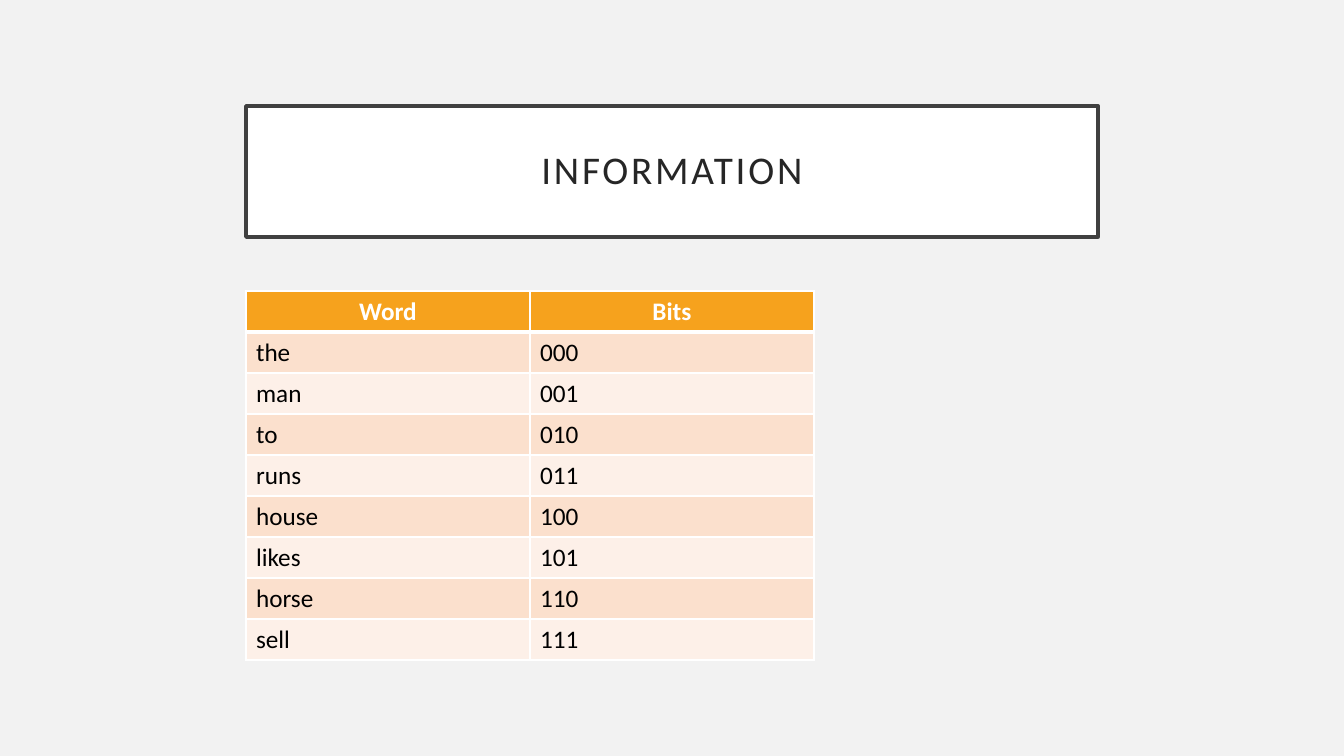
from lxml import etree
from pptx import Presentation
from pptx import util as u
from pptx.dml.color import RGBColor
from pptx.enum import text
from pptx.oxml.ns import qn

# Content
TITLE = "INFORMATION"
HEAD = ("Word", "Bits")
WORDS = ["the", "man", "to", "runs", "house", "likes", "horse", "sell"]
ROWS = [HEAD] + [(word, f"{i:03b}") for i, word in enumerate(WORDS)]

# Look
FONT = "Calibri"
WHITE = "FFFFFF"
ORANGE = "F6A21D"
BANDS = ("FDF0E8", "FBE0CD")

# Layout in px
WIDE, HIGH = 1344, 756
LEFT = 246
TITLE_TOP, TITLE_W, TITLE_H = 106, 852, 131
TABLE_TOP, COL_W, ROW_H = 291, 284, 41
INSET = 20


def px(n):
    return u.Emu(round(n * 914400 / 100.8))


def color(code):
    return RGBColor.from_string(code)


def paint(fill, code):
    fill.solid()
    fill.fore_color.rgb = color(code)


def style(para, size, code, bold=False):
    for run in para.runs:
        font = run.font
        font.name, font.size, font.bold = FONT, u.Pt(size), bold
        font.color.rgb = color(code)


def border(cell, top, bottom):
    props = cell._tc.get_or_add_tcPr()
    sides = (("L", 1), ("R", 1), ("T", top), ("B", bottom))
    for i, (side, width) in enumerate(sides):
        line = etree.Element(qn("a:ln" + side), w=str(u.Pt(width)))
        fill = etree.SubElement(line, qn("a:solidFill"))
        etree.SubElement(fill, qn("a:srgbClr"), val=WHITE)
        props.insert(i, line)


deck = Presentation()
deck.slide_width, deck.slide_height = px(WIDE), px(HIGH)
slide = deck.slides.add_slide(deck.slide_layouts[5])
paint(slide.background.fill, "F2F2F2")

# Title box
title = slide.shapes.title
title.left, title.top = px(LEFT), px(TITLE_TOP)
title.width, title.height = px(TITLE_W), px(TITLE_H)
paint(title.fill, WHITE)
title.line.color.rgb = color("404040")
title.line.width = u.Pt(2.5)
frame = title.text_frame
frame.text = TITLE
frame.word_wrap = True
frame.auto_size = text.MSO_AUTO_SIZE.NONE
frame.vertical_anchor = text.MSO_ANCHOR.MIDDLE
frame.margin_left = frame.margin_right = px(INSET)
frame.margin_top = frame.margin_bottom = px(INSET)
para = frame.paragraphs[0]
para.alignment = text.PP_ALIGN.CENTER
para.line_spacing = 0.9
style(para, 28, "262626")
para.runs[0].font._element.set("spc", "200")

# Code table
table = slide.shapes.add_table(
    len(ROWS), len(HEAD), px(LEFT), px(TABLE_TOP),
    px(COL_W * len(HEAD)), px(ROW_H * len(ROWS))).table
for col in table.columns:
    col.width = px(COL_W)
for r, row in enumerate(ROWS):
    table.rows[r].height = px(ROW_H)
    for c, value in enumerate(row):
        cell = table.cell(r, c)
        cell.text = value
        para = cell.text_frame.paragraphs[0]
        if r == 0:
            para.alignment = text.PP_ALIGN.CENTER
            style(para, 18, WHITE, bold=True)
            paint(cell.fill, ORANGE)
        else:
            style(para, 18, "000000")
            paint(cell.fill, BANDS[r % 2])
        border(cell, top=3 if r == 1 else 1, bottom=3 if r == 0 else 1)

deck.save("out.pptx")
